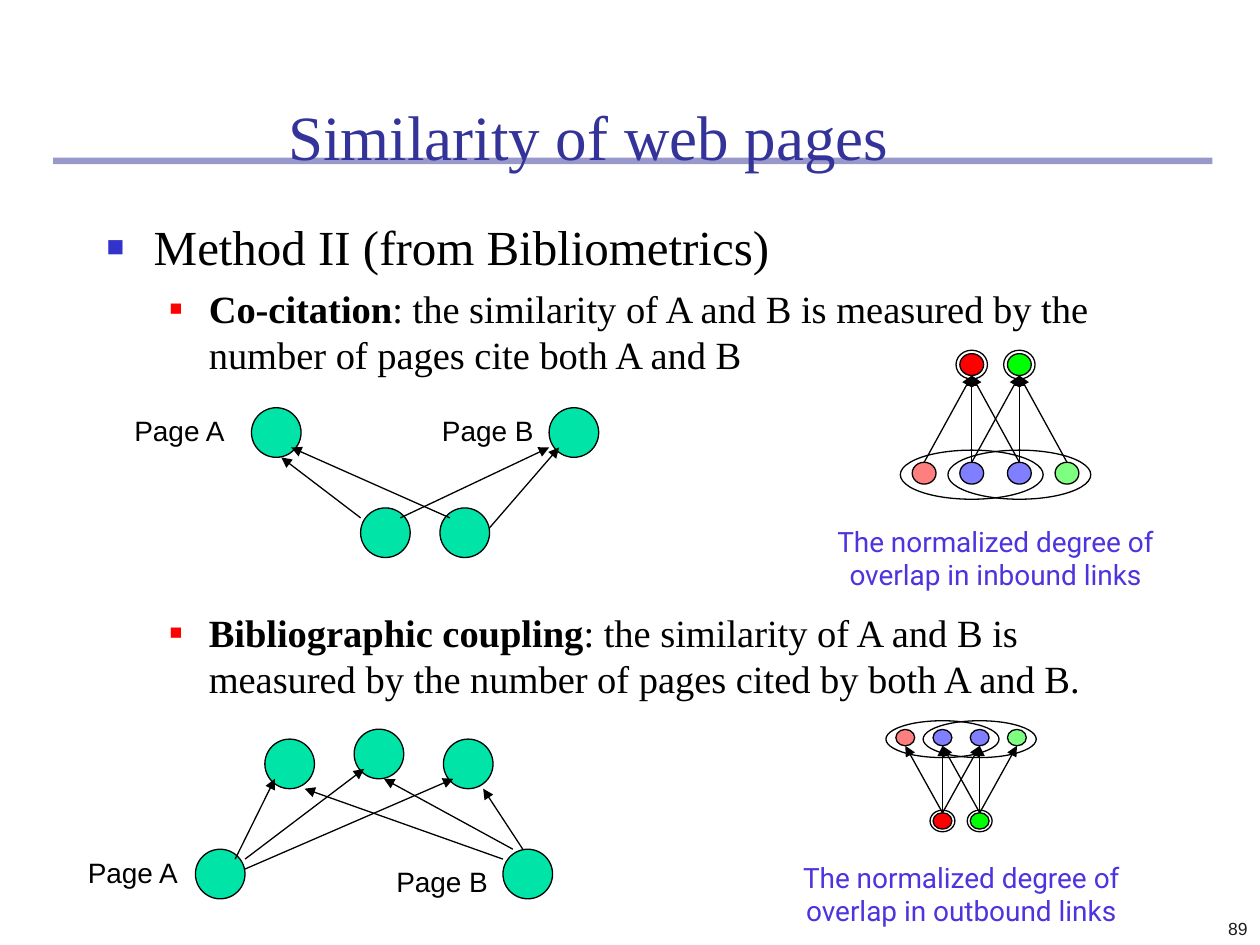
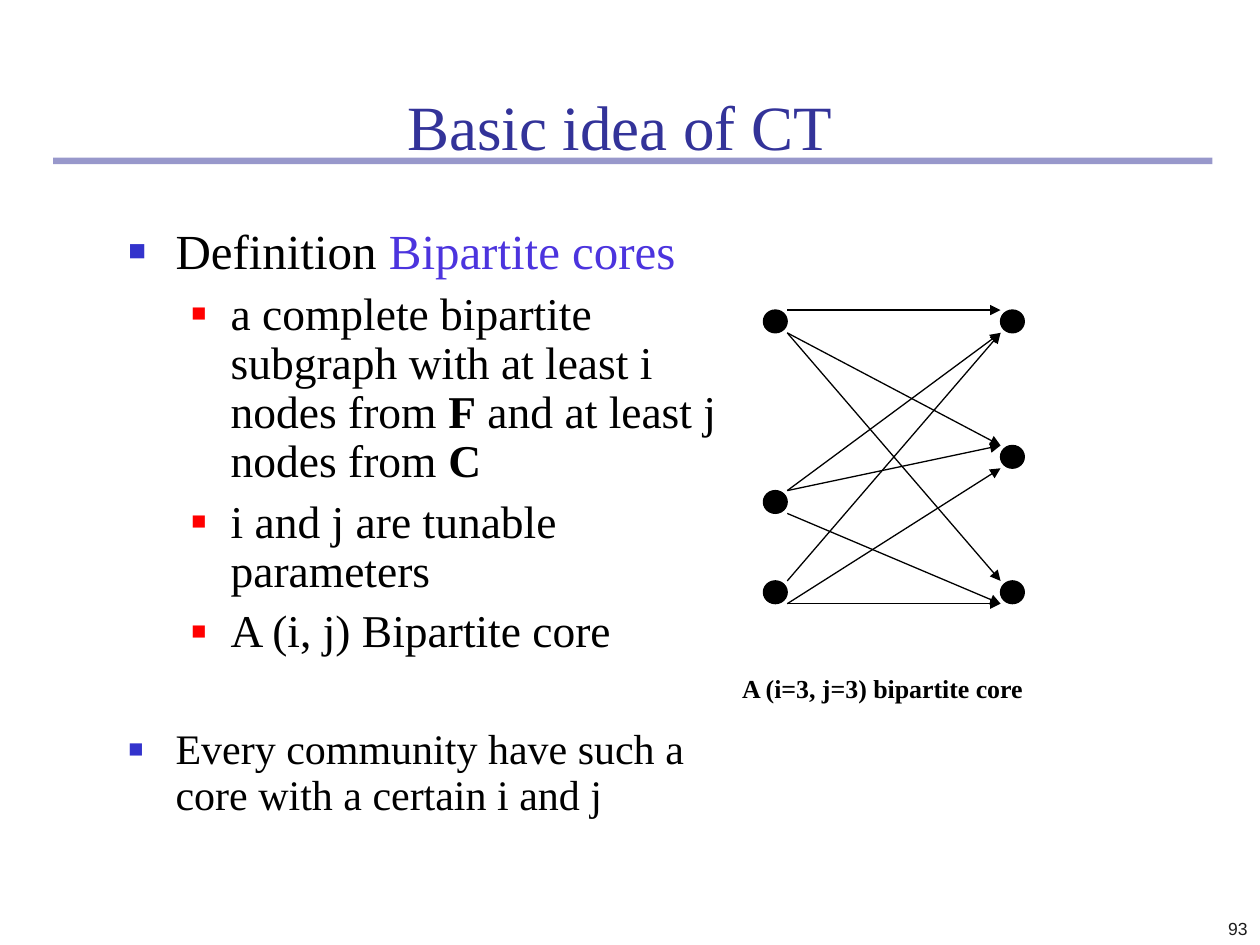
from lxml import etree
from pptx import Presentation
from pptx.dml.color import RGBColor
from pptx.enum.shapes import MSO_CONNECTOR, MSO_SHAPE
from pptx.enum.text import MSO_ANCHOR, PP_ALIGN
from pptx.oxml.ns import qn
from pptx.util import Cm, Pt

LINE = MSO_CONNECTOR.STRAIGHT
OVAL, RECT = MSO_SHAPE.OVAL, MSO_SHAPE.RECTANGLE
TOP, BOTTOM = MSO_ANCHOR.TOP, MSO_ANCHOR.BOTTOM
LEFT, MID, RIGHT = PP_ALIGN.LEFT, PP_ALIGN.CENTER, PP_ALIGN.RIGHT
SERIF, SANS, NOTE = "Times New Roman", "Arial", "Roboto"

HUES = {
    "navy": "333399", "blue": "3333CC", "violet": "4C34DE",
    "red": "FF0000", "lime": "00FF00", "pure": "0000FF",
    "mint": "00E4A8", "black": "000000", "white": "FFFFFF", "ink": "1C1C1C",
}
# Bullet levels: left margin, hanging indent (cm), colour, size in percent
LEVELS = [(0.95, 0.95, "blue", 60), (2.06, 0.79, "red", 55)]


def rgb(hue):
    return RGBColor.from_string(HUES[hue])


def sub(node, tag, **attrs):
    return etree.SubElement(node, qn(tag), **attrs)


# Text
def mark(para, level):
    """Give a paragraph the square bullet of its level."""
    left, hang, hue, size = LEVELS[level]
    props = para._p.get_or_add_pPr()
    props.set("marL", str(Cm(left)))
    props.set("indent", str(-Cm(hang)))
    sub(sub(props, "a:buClr"), "a:srgbClr", val=HUES[hue])
    sub(props, "a:buSzPct", val=str(size * 1000))
    sub(props, "a:buFont", typeface=SANS)
    sub(props, "a:buChar", char="■")


def write(slide, box, paras, size=16, font=SERIF, hue="black", bold=False,
          align=LEFT, anchor=TOP, lead=None):
    """Each paragraph is a string, or (level, size, space before, runs)."""
    frame = slide.shapes.add_textbox(*map(Cm, box)).text_frame
    frame.word_wrap = True
    frame.vertical_anchor = anchor
    for i, item in enumerate(paras):
        para = frame.add_paragraph() if i else frame.paragraphs[0]
        if isinstance(item, str):
            level, points, gap, runs = None, size, 0, [(item, {})]
        else:
            level, points, gap, runs = item
        if level is not None:
            mark(para, level)
        para.alignment = align
        if lead:
            para.line_spacing = lead
        if gap:
            para.space_before = Pt(gap)
        for words, look in runs:
            run = para.add_run()
            run.text = words
            run.font.size = Pt(points)
            run.font.name = font
            run.font.bold = look.get("bold", bold)
            run.font.color.rgb = rgb(look.get("hue", hue))


# Shapes
def draw(slide, kind, box, fill=None, line="black", alpha=None):
    shape = slide.shapes.add_shape(kind, *map(Cm, box))
    shape.shadow.inherit = False
    if fill:
        shape.fill.solid()
        shape.fill.fore_color.rgb = rgb(fill)
        if alpha:
            color = shape.fill._xPr.find(".//" + qn("a:srgbClr"))
            sub(color, "a:alpha", val=str(alpha * 1000))
    else:
        shape.fill.background()
    if line:
        shape.line.color.rgb = rgb(line)
        shape.line.width = Pt(0.75)
    else:
        shape.line.fill.background()


def oval(slide, x, y, wide, high, **look):
    """Ellipse centred on x, y."""
    draw(slide, OVAL, (x - wide / 2, y - high / 2, wide, high), **look)


def arrow(slide, *ends):
    link = slide.shapes.add_connector(LINE, *map(Cm, ends))
    link.line.color.rgb = rgb("black")
    link.line.width = Pt(0.75)
    sub(link.line._get_or_add_ln(), "a:tailEnd", type="triangle")
    sub(link._element.spPr, "a:effectLst")


# Parts shared by the slides
def start(deck, title, box, number):
    slide = deck.slides.add_slide(deck.slide_layouts[6])
    draw(slide, RECT, (1.07, 3.18, 23.37, 0.13), "navy", None, 50)
    write(slide, box, [title], size=36, hue="navy", align=MID, anchor=BOTTOM)
    write(slide, (20.12, 17.78, 5.28, 1.27), [number], size=10, font=SANS,
          hue="ink", align=RIGHT, anchor=BOTTOM)
    return slide


# Page diagrams: nodes and arrow ends are relative to the panel
def pages(slide, box, nodes, labels, arrows):
    left, top = box[:2]
    draw(slide, RECT, box, "white", "white")
    for x, y in nodes.values():
        draw(slide, OVAL, (left + x, top + y, 1, 1), "mint")
    for name, (x, y) in labels.items():
        write(slide, (left + x, top + y, 2.39, 0.94), [name], font=SANS)
    for tail, x1, y1, head, x2, y2 in arrows:
        (tx, ty), (hx, hy) = nodes[tail], nodes[head]
        arrow(slide, left + tx + x1, top + ty + y1,
              left + hx + x2, top + hy + y2)


# Overlap diagrams: x, y is the centre of the first of four linked pages
def overlap(slide, x, y, step, drop, wide, high):
    row = [x + i * step for i in range(4)]
    pair = row[1:3]
    for cx, hue in zip(row, ("red", "pure", "pure", "lime")):
        oval(slide, cx, y, wide, high, fill=hue, alpha=50)
    for cx, hue in zip(pair, ("red", "lime")):
        oval(slide, cx, y + drop, wide, high, fill=hue)
    for i, cx in enumerate(pair):
        for link in row[i:i + 3]:
            ends = [(link, y), (cx, y + drop)]
            (x1, y1), (x2, y2) = sorted(ends, key=lambda end: -end[1])
            arrow(slide, x1, y1 - high / 2, x2, y2 + high / 2)
    for cx in pair:
        oval(slide, cx, y + 0.03, wide * 6, high * 2.25)
        oval(slide, cx, y + drop, wide * 1.32, high * 1.32)


def caption(slide, x, y, kind):
    write(slide, (x, y, 7.32, 1.63),
          ["The normalized degree of", f"overlap in {kind} links"],
          font=NOTE, hue="violet", align=MID)


# Bipartite core: x, y is the top left corner of the graph
def core(slide, x, y):
    wide, high, unit, span = 0.48, 0.46, 0.91, 4.78
    fans = [y + unit * n for n in (0, 4, 6)]
    hubs = [y + unit * n for n in (0, 3, 6)]
    for dx, column in ((0, fans), (span, hubs)):
        for dot in column:
            draw(slide, OVAL, (x + dx, dot, wide, high), "black")
    # Fan, hub, and whether each end is at the dot's top (0) or bottom (1)
    for fan, low, hub, base in (
            (0, 0, 0, 0), (0, 1, 1, 0), (0, 1, 2, 0),
            (1, 0, 0, 1), (1, 0, 1, 0), (1, 1, 2, 1),
            (2, 0, 0, 1), (2, 1, 1, 1), (2, 1, 2, 1)):
        arrow(slide, x + wide, fans[fan] + low * high,
              x + span, hubs[hub] + base * high)


def similar(deck):
    slide = start(deck, "Similarity of web pages",
                  (1.07, 0.43, 21.59, 3.18), "89")
    bold = {"bold": True}
    write(slide, (1.9, 4.24, 21.59, 11.43), [
        (0, 28, 0, [("Method II (from Bibliometrics)", {})]),
        (1, 22, 5.5, [
            ("Co-citation", bold),
            (": the similarity of A and B is measured by the number of "
             "pages cite both A and B", {})]),
        (1, 22, 132.5, [
            ("Bibliographic coupling", bold),
            (": the similarity of A and B is measured by the number of "
             "pages cited by both A and B.", {})]),
    ])
    # Co-citation
    pages(slide, (1.27, 7.82, 14.4, 3.81),
          {"A": (3.8, 0.4), "B": (9.8, 0.4),
           "left": (6, 2.42), "right": (7.6, 2.42)},
          {"Page A": (1.19, 0.4), "Page B": (7.39, 0.4)},
          [("left", 0, 0.2, "A", 0.6, 1),
           ("left", 0.8, 0.2, "B", 0, 0.8),
           ("right", 1, 0.4, "B", 0.2, 0.8),
           ("right", 0.2, 0.2, "A", 0.8, 0.8)])
    # Bibliographic coupling
    pages(slide, (0.94, 14.7, 14.4, 3.61),
          {"left": (4.4, 0.2), "mid": (6.2, 0), "right": (8, 0.2),
           "A": (3, 2.42), "B": (9.2, 2.42)},
          {"Page A": (0.58, 2.42), "Page B": (6.8, 2.6)},
          [("A", 0.8, 0.2, "left", 0.2, 0.8),
           ("A", 1, 0.2, "mid", 0.2, 0.8),
           ("A", 1, 0.4, "right", 0.2, 0.8),
           ("B", 0, 0.2, "left", 0.8, 1),
           ("B", 0.2, 0, "mid", 0.6, 1),
           ("B", 0.4, 0, "right", 0.8, 1)])
    caption(slide, 15.72, 17.22, "outbound")
    overlap(slide, 18.25, 14.87, 0.75, 1.68, 0.38, 0.33)
    caption(slide, 16.41, 10.44, "inbound")
    overlap(slide, 18.63, 9.54, 0.96, -2.19, 0.48, 0.44)


def idea(deck):
    slide = start(deck, "Basic idea of CT", (1.7, 1.07, 21.59, 2.34), "93")
    bold = {"bold": True}
    write(slide, (2.34, 4.45, 12.5, 12.57), [
        (0, 28, 0, [("Definition ", {}),
                    ("Bipartite cores", {"hue": "violet"})]),
        (1, 26, 6.5, [
            ("a complete bipartite subgraph with at least i nodes from ", {}),
            ("F", bold), (" and at least j nodes from ", {}), ("C", bold)]),
        (1, 26, 6.5, [("i and j are tunable parameters", {})]),
        (1, 26, 6.5, [("A (i, j) Bipartite core", {})]),
        (0, 24, 40.5, [
            ("Every community have such a core with a certain i and j", {})]),
    ], lead=0.9)
    core(slide, 15.39, 6.25)
    write(slide, (14.71, 13.51, 7.39, 0.94), ["A (i=3, j=3) bipartite core"],
          size=14.8, bold=True, lead=0.9)


def main():
    deck = Presentation()
    deck.slide_width, deck.slide_height = Cm(25.4), Cm(19.05)
    similar(deck)
    idea(deck)
    deck.save("out.pptx")


if __name__ == "__main__":
    main()
